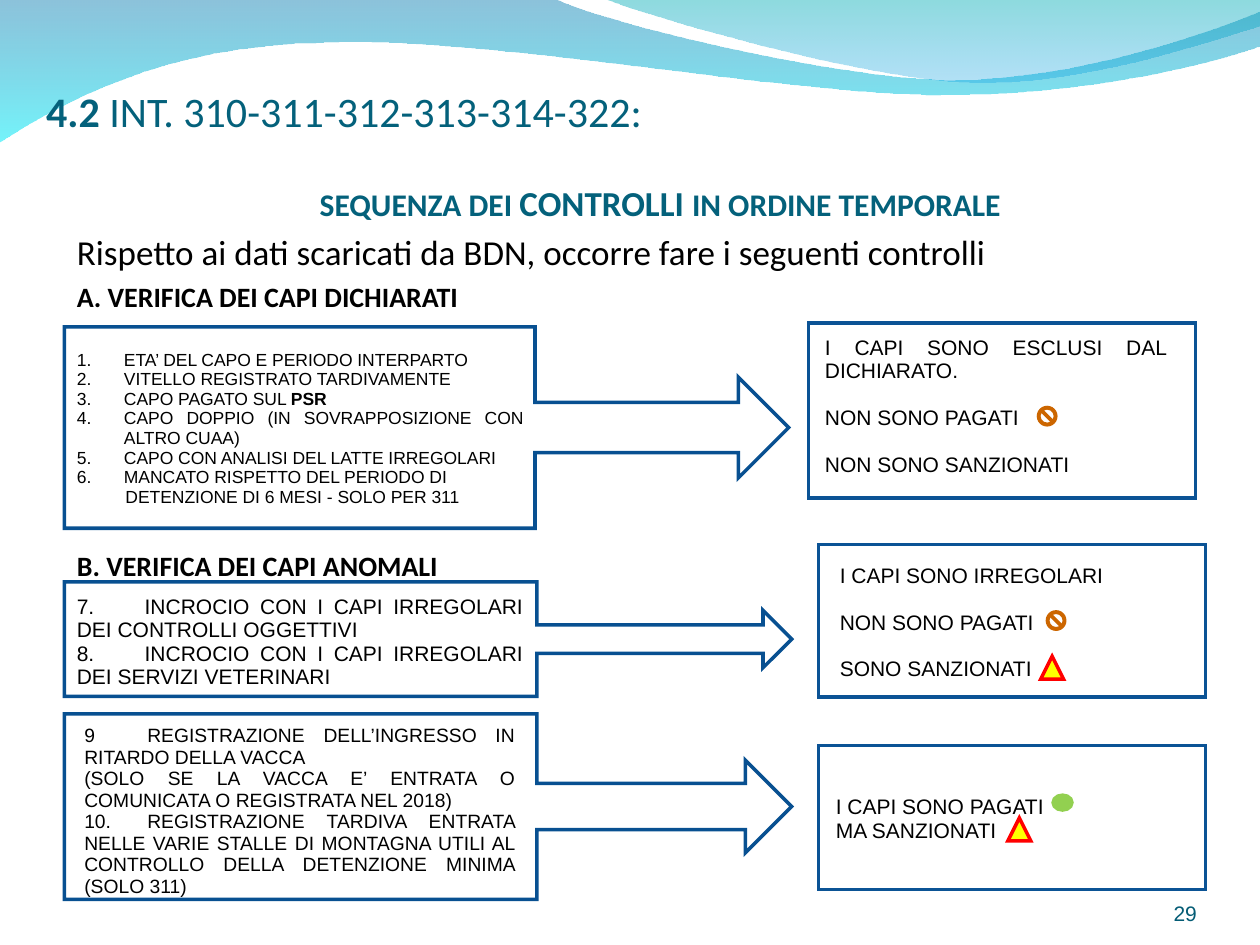
from dataclasses import dataclass

from lxml import etree
from pptx import Presentation
from pptx.dml.color import RGBColor
from pptx.enum.shapes import MSO_SHAPE
from pptx.enum.text import MSO_ANCHOR, MSO_AUTO_SIZE, PP_ALIGN
from pptx.oxml.ns import qn
from pptx.util import Cm, Pt

CALLOUT, RECT = MSO_SHAPE.RIGHT_ARROW_CALLOUT, MSO_SHAPE.RECTANGLE
BANNED, WARNING, PAID = MSO_SHAPE.NO_SYMBOL, MSO_SHAPE.ISOSCELES_TRIANGLE, MSO_SHAPE.FLOWCHART_CONNECTOR
LEFT, CENTER, RIGHT, JUSTIFY = PP_ALIGN.LEFT, PP_ALIGN.CENTER, PP_ALIGN.RIGHT, PP_ALIGN.JUSTIFY
TOP, BOTTOM = MSO_ANCHOR.TOP, MSO_ANCHOR.BOTTOM
NO_AUTOFIT = MSO_AUTO_SIZE.NONE


@dataclass(frozen=True)
class Theme:
    heading_font: str = "Calibri"
    text_font: str = "Arial"
    black: str = "000000"
    teal: str = "04617B"
    number: str = "045C75"
    callout: str = "085091"
    outcome: str = "0B5395"
    banned: str = "CC6600"
    yellow: str = "FFFF00"
    red: str = "FF0000"
    green: str = "92D050"
    section: float = 24
    lead: float = 20
    title: float = 18
    check: float = 16
    text: float = 12
    small: float = 11
    list: float = 10
    outline: float = 2


THEME = Theme()


@dataclass(frozen=True)
class Box:
    left: float
    top: float
    width: float
    height: float

    def emu(self) -> tuple:
        return tuple(Cm(v) for v in (self.left, self.top, self.width, self.height))


@dataclass(frozen=True)
class Span:
    text: str
    bold: bool = False
    size: float = 0


@dataclass(frozen=True)
class Line:
    spans: tuple
    before: float = 0
    numbered: bool = False
    indent: float = 0


@dataclass(frozen=True)
class Style:
    size: float
    font: str = THEME.text_font
    color: str = THEME.black
    align: int = JUSTIFY
    anchor: int = TOP
    spacing: float = 0.93
    insets: tuple = (0.25, 0.13, 0.25, 0.13)


@dataclass(frozen=True)
class Stage:
    callout: Box
    outcome: Box
    causes_box: Box
    causes: tuple
    causes_size: float
    effects_box: Box
    effects: tuple


@dataclass(frozen=True)
class Marker:
    kind: int
    box: Box
    fill: str
    line: str = ""


@dataclass(frozen=True)
class Wave:
    start: tuple
    segments: tuple
    stops: tuple


def plain(*texts: str, gap: float = 0) -> tuple:
    return tuple(Line((Span(t),), gap if i else 0) for i, t in enumerate(texts))


def numbered(*spans: Span) -> Line:
    return Line(spans, numbered=True, indent=0.95)


HEADING = dict(font=THEME.heading_font, color=THEME.teal, anchor=BOTTOM, spacing=1, insets=(0, 0.13, 0, 0))
TITLE_STYLE = Style(THEME.title, align=CENTER, **HEADING)
SECTION_STYLE = Style(THEME.section, align=LEFT, **HEADING)
BODY_STYLE = Style(THEME.check, THEME.heading_font, spacing=1)
NUMBER_STYLE = Style(THEME.text, color=THEME.number, align=RIGHT, anchor=BOTTOM, insets=(0, 0, 0, 0))

TITLE = (Line((Span("SEQUENZA DEI ", True), Span("CONTROLLI ", True, THEME.lead),
               Span("IN ORDINE TEMPORALE", True))),)
SECTION = (Line((Span("4.2 ", True), Span("INT. 310-311-312-313-314-322:"))),)
BODY = (
    Line((Span("Rispetto ai dati scaricati da BDN, occorre fare i seguenti controlli", size=THEME.lead),)),
    Line((Span("A. VERIFICA DEI CAPI DICHIARATI", True),), before=4),
    Line((Span("B. VERIFICA DEI CAPI ANOMALI", True),), before=134.5),
)
STAGES = (
    Stage(Box(1.3, 6.59, 14.6, 4.06), Box(16.3, 6.51, 7.8, 3.53), Box(1.3, 6.94, 9.5, 3.86),
          (numbered(Span("ETA’ DEL CAPO E PERIODO INTERPARTO")),
           numbered(Span("VITELLO REGISTRATO TARDIVAMENTE")),
           numbered(Span("CAPO PAGATO SUL "), Span("PSR", True)),
           numbered(Span("CAPO DOPPIO (IN SOVRAPPOSIZIONE CON ALTRO CUAA)")),
           numbered(Span("CAPO CON ANALISI DEL LATTE IRREGOLARI")),
           numbered(Span("MANCATO RISPETTO DEL PERIODO DI")),
           Line((Span("DETENZIONE DI 6 MESI - SOLO PER 311"),), indent=0.98)),
          THEME.list, Box(16.38, 6.65, 7.39, 3.1),
          plain("I CAPI SONO ESCLUSI DAL DICHIARATO.", "NON SONO PAGATI", "NON SONO SANZIONATI", gap=13.4)),
    Stage(Box(1.3, 11.73, 14.66, 2.31), Box(16.5, 10.98, 7.8, 3.07), Box(1.3, 11.88, 9.5, 2.16),
          plain("7. \tINCROCIO CON I CAPI IRREGOLARI DEI CONTROLLI OGGETTIVI",
                "8. \tINCROCIO CON I CAPI IRREGOLARI DEI SERVIZI VETERINARI"),
          THEME.text, Box(16.68, 11.25, 7.39, 2.62),
          plain("I CAPI SONO IRREGOLARI", "NON SONO PAGATI", "SONO SANZIONATI", gap=13.4)),
    Stage(Box(1.3, 14.39, 14.66, 3.74), Box(16.5, 15.03, 7.8, 2.9), Box(1.45, 14.5, 9.19, 3.73),
          plain("9\tREGISTRAZIONE DELL’INGRESSO IN RITARDO DELLA VACCA",
                "(SOLO SE LA VACCA E’ ENTRATA O COMUNICATA O REGISTRATA NEL 2018)",
                "10.\tREGISTRAZIONE TARDIVA ENTRATA NELLE VARIE STALLE DI MONTAGNA UTILI AL "
                "CONTROLLO DELLA DETENZIONE MINIMA (SOLO 311)"),
          THEME.small, Box(16.6, 15.92, 7.39, 1.19),
          plain("I CAPI SONO PAGATI", "MA SANZIONATI")),
)
MARKERS = (
    Marker(BANNED, Box(20.9, 8.18, 0.42, 0.42), THEME.banned),
    Marker(BANNED, Box(21.08, 12.3, 0.42, 0.42), THEME.banned),
    Marker(WARNING, Box(20.98, 13.23, 0.46, 0.46), THEME.yellow, THEME.red),
    Marker(WARNING, Box(20.32, 16.49, 0.46, 0.46), THEME.yellow, THEME.red),
    Marker(PAID, Box(21.23, 16.03, 0.38, 0.3), THEME.green, THEME.green),
)
WAVES = (
    Wave((0, -0.03),
         (((11.18, -0.03),), ((12.09, 0.43), (16.87, 1.6), (19.25, 1.6)),
          ((21.67, 1.6), (24.33, 0.66), (25.4, 0.23)), ((25.43, 0.91),),
          ((24.97, 1.12), (22.1, 1.93), (18.95, 1.91)), ((15.8, 1.91), (9.7, 0.71), (6.53, 0.86)),
          ((3.28, 0.89), (1.17, 2.11), (-0.03, 2.87))),
         (("0079AF", 45), ("00EBF8", 55))),
    Wave((12.17, -0.03),
         (((12.93, 0.28), (17.32, 1.57), (19.53, 1.65)),
          ((21.74, 1.75), (24.41, 0.81), (25.4, 0.53)), ((25.4, 0),)),
         (("00ADB6", 45), ("009BE5", 30))),
)


def write(shape, lines: tuple, style: Style) -> None:
    frame = shape.text_frame
    frame.word_wrap, frame.auto_size, frame.vertical_anchor = True, NO_AUTOFIT, style.anchor
    frame.margin_left, frame.margin_top, frame.margin_right, frame.margin_bottom = map(Cm, style.insets)
    for index, line in enumerate(lines):
        paragraph = frame.add_paragraph() if index else frame.paragraphs[0]
        paragraph.alignment, paragraph.line_spacing = style.align, style.spacing
        paragraph.space_before, paragraph.space_after = Pt(line.before), Pt(0)
        props = paragraph._p.get_or_add_pPr()
        props.set("marL", str(Cm(line.indent)))
        props.set("indent", str(-Cm(line.indent) if line.numbered else 0))
        if line.numbered:
            etree.SubElement(props, qn("a:buAutoNum"), type="arabicPeriod")
        else:
            etree.SubElement(props, qn("a:buNone"))
        if "\t" in line.spans[0].text:
            tabs = etree.SubElement(props, qn("a:tabLst"))
            etree.SubElement(tabs, qn("a:tab"), pos=str(Cm(1.24)), algn="l")
        for span in line.spans:
            run = paragraph.add_run()
            run.text = span.text
            run.font.name, run.font.bold = style.font, span.bold
            run.font.size = Pt(span.size or style.size)
            run.font.color.rgb = RGBColor.from_string(style.color)


def place(shape, box: Box) -> None:
    shape.left, shape.top, shape.width, shape.height = box.emu()


def add_text(slide, box: Box, lines: tuple, style: Style) -> None:
    write(slide.shapes.add_textbox(*box.emu()), lines, style)


def add_figure(slide, kind: int, box: Box, fill: str = "", line: str = "") -> None:
    shape = slide.shapes.add_shape(kind, *box.emu())
    shape.shadow.inherit = False
    if fill:
        shape.fill.solid()
        shape.fill.fore_color.rgb = RGBColor.from_string(fill)
    else:
        shape.fill.background()
    if line:
        shape.line.color.rgb = RGBColor.from_string(line)
        shape.line.width = Pt(THEME.outline)
        etree.SubElement(shape.line._ln, qn("a:miter"), lim="800000")
    else:
        shape.line.fill.background()


def bend(shape, segments: tuple) -> None:
    sides = iter(list(shape._element.spPr.iter(qn("a:lnTo"))))
    for segment in segments:
        first, *others = [next(sides) for _ in segment]
        if others:
            first.tag = qn("a:cubicBezTo")
            for side in others:
                first.append(side[0])
                side.getparent().remove(side)


def add_wave(slide, wave: Wave) -> None:
    corners = [wave.start, *(point for segment in wave.segments for point in segment)]
    units = [(x * 100, y * 100) for x, y in corners]
    builder = slide.shapes.build_freeform(*units[0], scale=Cm(0.01))
    builder.add_line_segments(units[1:], close=True)
    shape = builder.convert_to_shape()
    bend(shape, wave.segments)
    shape.shadow.inherit = False
    shape.line.fill.background()
    shape.fill.gradient()
    shape.fill.gradient_angle = 270
    for stop, (color, _) in zip(shape.fill.gradient_stops, wave.stops):
        stop.color.rgb = RGBColor.from_string(color)
    for node, (_, opacity) in zip(shape._element.spPr.iter(qn("a:srgbClr")), wave.stops):
        etree.SubElement(node, qn("a:alpha"), val=str(opacity * 1000))


def main() -> None:
    deck = Presentation()
    deck.slide_width, deck.slide_height = Cm(25.4), Cm(19.05)
    slide = deck.slides.add_slide(deck.slide_layouts[1])
    for wave in WAVES:
        add_wave(slide, wave)
    title, body = slide.placeholders
    place(title, Box(1.12, 1.32, 24.38, 3.18))
    write(title, TITLE, TITLE_STYLE)
    place(body, Box(1.3, 4.52, 22.83, 11))
    write(body, BODY, BODY_STYLE)
    add_text(slide, Box(0.93, 1.15, 23.52, 1.6), SECTION, SECTION_STYLE)
    add_text(slide, Box(22.02, 17.65, 2.11, 1.02), plain("29"), NUMBER_STYLE)
    for stage in STAGES:
        add_figure(slide, CALLOUT, stage.callout, line=THEME.callout)
        add_figure(slide, RECT, stage.outcome, line=THEME.outcome)
        add_text(slide, stage.causes_box, stage.causes, Style(stage.causes_size))
        add_text(slide, stage.effects_box, stage.effects, Style(THEME.text))
    for marker in MARKERS:
        add_figure(slide, marker.kind, marker.box, marker.fill, marker.line)
    deck.save("out.pptx")


if __name__ == "__main__":
    main()
